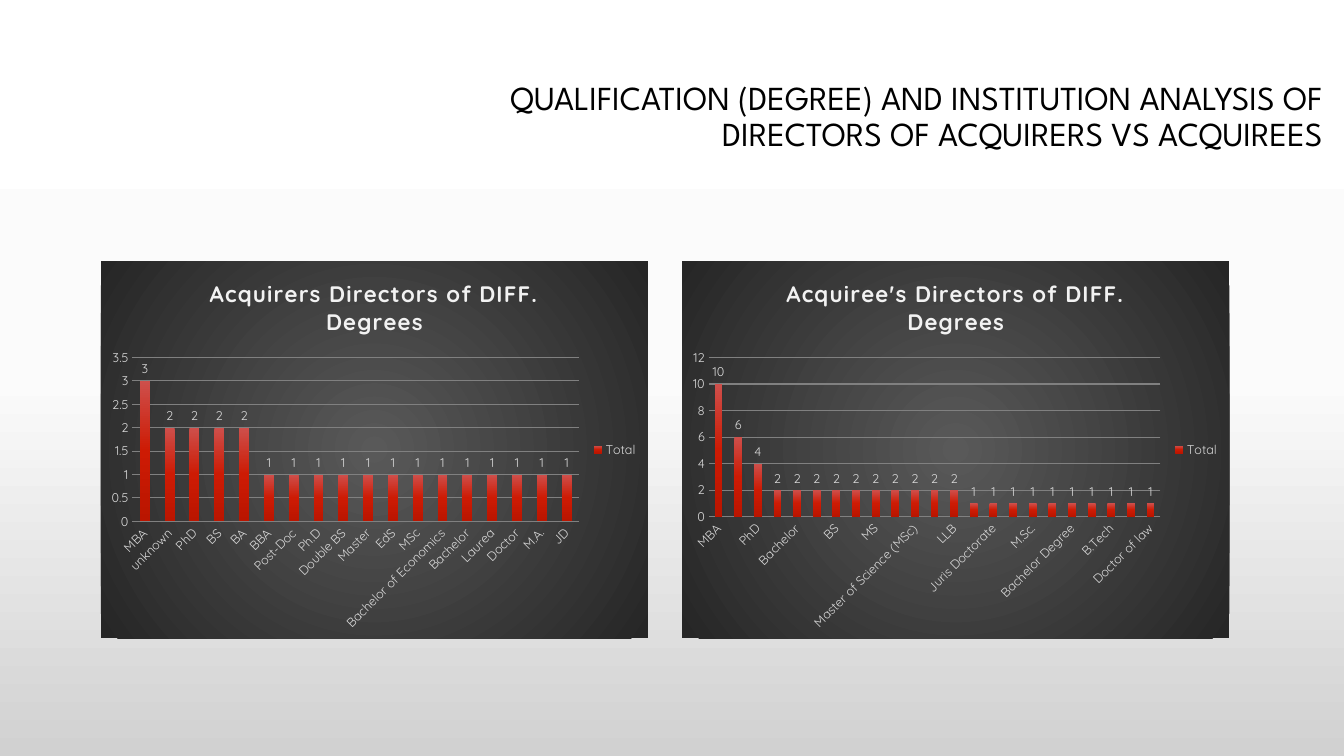
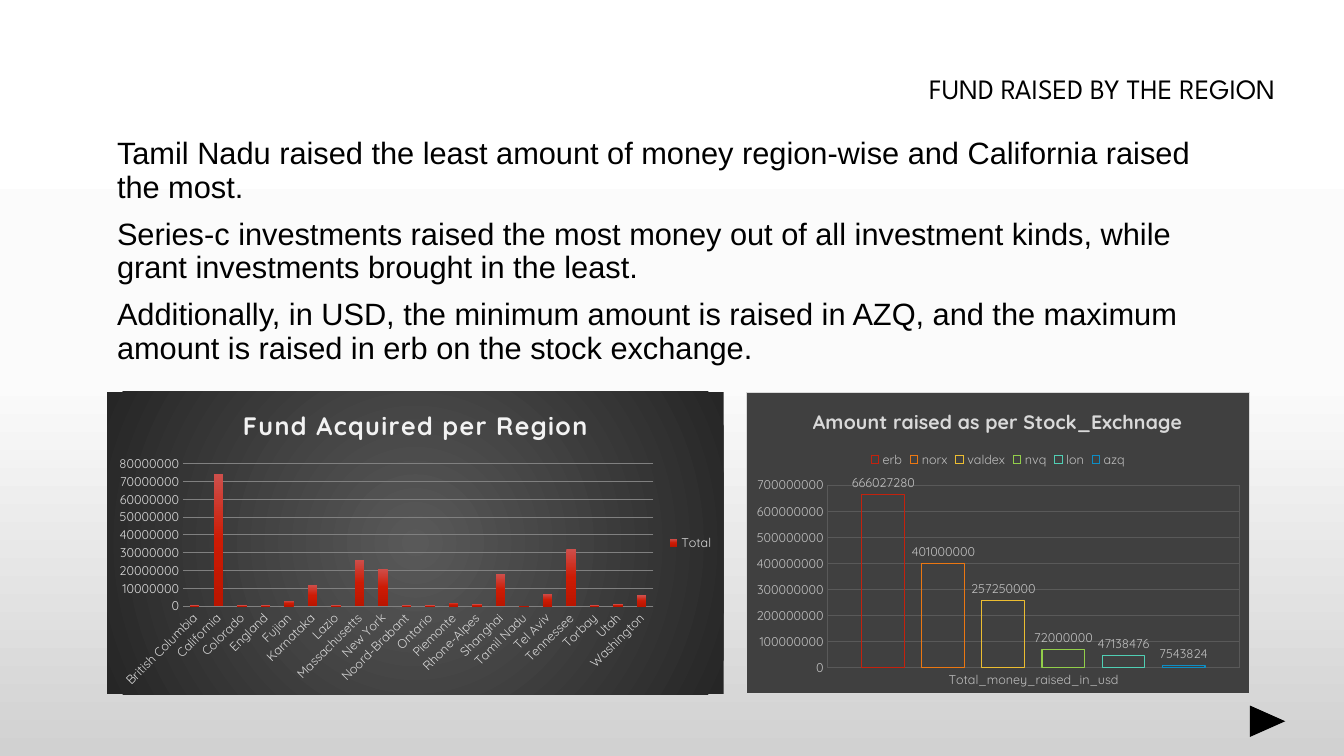
from dataclasses import dataclass

from pptx import Presentation
from pptx.chart.data import CategoryChartData
from pptx.dml.color import RGBColor
from pptx.enum.chart import XL_CHART_TYPE, XL_LABEL_POSITION, XL_LEGEND_POSITION, XL_TICK_MARK
from pptx.enum.shapes import MSO_SHAPE
from pptx.enum.text import MSO_ANCHOR, PP_ALIGN
from pptx.oxml import parse_xml
from pptx.oxml.ns import nsdecls, qn
from pptx.util import Cm, Pt

BLACK = RGBColor(0x00, 0x00, 0x00)
CHARCOAL = RGBColor(0x40, 0x40, 0x40)
DARK_GRID = RGBColor(0x59, 0x59, 0x59)
GRID = RGBColor(0x80, 0x80, 0x80)
SILVER = RGBColor(0xBF, 0xBF, 0xBF)
LIGHT = RGBColor(0xD9, 0xD9, 0xD9)
PALE = RGBColor(0xF2, 0xF2, 0xF2)

PAGE_STOPS = [(0, "FFFFFF"), (50, "FBFBFB"), (100, "D1D1D1")]
BAR_STOPS = [(0, "CE4F4B"), (50, "CD1B04"), (100, "BA1500")]
PANEL_STOPS = [(0, "595959"), (100, "262626")]

TITLE_FONT = "League Spartan"
BODY_FONT = "Arial"
CHART_FONT = "Quicksand"

ACQUIRER_DEGREES = [
    ("MBA", 3), ("unknown", 2), ("PhD", 2), ("BS", 2), ("BA", 2), ("BBA", 1),
    ("Post-Doc", 1), ("Ph.D", 1), ("Double BS", 1), ("Master", 1), ("EdS", 1),
    ("MSc", 1), ("Bachelor of Economics", 1), ("Bachelor", 1), ("Laurea", 1),
    ("Doctor", 1), ("M.A.", 1), ("JD", 1),
]
ACQUIREE_DEGREES = [
    ("MBA", 10), ("unknown", 6), ("PhD", 4), ("Bachelor of Economics", 2),
    ("Bachelor", 2), ("Master's degree", 2), ("BS", 2), ("BE", 2), ("MS", 2),
    ("PhD.", 2), ("Master of Science (MSc)", 2), ("Laurea", 2), ("LLB", 2),
    ("BBA", 1), ("Juris Doctorate", 1), ("M.A", 1), ("M.Sc.", 1), ("MSc", 1),
    ("Bachelor Degree", 1), ("B.A. Economics", 1), ("B.Tech", 1), ("M.A.", 1),
    ("Doctor of law", 1),
]
REGION_FUNDS = [
    ("British Columbia", 400000), ("California", 74000000), ("Colorado", 400000),
    ("England", 400000), ("Fujian", 3000000), ("Karnataka", 12000000),
    ("Lazio", 400000), ("Massachusetts", 26000000), ("New York", 21000000),
    ("Noord-Brabant", 400000), ("Ontario", 400000), ("Piemonte", 2000000),
    ("Rhone-Alpes", 1000000), ("Shanghai", 18000000), ("Tamil Nadu", 300000),
    ("Tel Aviv", 7000000), ("Tennessee", 32000000), ("Torbay", 400000),
    ("Utah", 1000000), ("Washington", 6000000),
]
EXCHANGE_FUNDS = [
    ("erb", 666027280, RGBColor(0xC4, 0x22, 0x0D)),
    ("norx", 401000000, RGBColor(0xEB, 0x77, 0x12)),
    ("valdex", 257250000, RGBColor(0xEC, 0xBD, 0x31)),
    ("nvq", 72000000, RGBColor(0x92, 0xCE, 0x4A)),
    ("lon", 47138476, RGBColor(0x50, 0xCF, 0xB4)),
    ("azq", 7543824, RGBColor(0x0D, 0x8E, 0xC5)),
]
FUND_NOTES = [
    "Tamil Nadu raised the least amount of money region-wise and California raised the most.",
    "Series-c investments raised the most money out of all investment kinds, while grant "
    "investments brought in the least.",
    "Additionally, in USD, the minimum amount is raised in AZQ, and the maximum amount is "
    "raised in erb on the stock exchange.",
]


@dataclass
class Box:
    left: float
    top: float
    width: float
    height: float

    def lengths(self):
        return [Cm(value) for value in (self.left, self.top, self.width, self.height)]


# Shared formatting
def set_values(target, values):
    for name, value in values.items():
        setattr(target, name, value)


def style_font(font, color, name, size, bold=False):
    set_values(font, {"name": name, "size": Pt(size), "bold": bold})
    font.color.rgb = color


def style_line(line, color):
    line.color.rgb = color
    line.width = Pt(0.75)


def swap_gradient(element, stops, direction='<a:lin ang="5400000" scaled="0"/>'):
    """Turn the first solid fill inside the element into a gradient."""
    marks = "".join(
        f'<a:gs pos="{position * 1000}"><a:srgbClr val="{color}"/></a:gs>'
        for position, color in stops
    )
    gradient = parse_xml(
        f'<a:gradFill {nsdecls("a")} rotWithShape="1"><a:gsLst>{marks}</a:gsLst>'
        f"{direction}</a:gradFill>"
    )
    solid = next(element.iter(qn("a:solidFill")))
    solid.getparent().replace(solid, gradient)


# Text regions
def add_text(page, box, paragraphs, font_values, para_values, anchor=MSO_ANCHOR.TOP):
    frame = page.shapes.add_textbox(*box.lengths()).text_frame
    set_values(frame, {"word_wrap": True, "vertical_anchor": anchor})
    for index, text in enumerate(paragraphs):
        para = frame.add_paragraph() if index else frame.paragraphs[0]
        set_values(para, {"line_spacing": 0.9, **para_values})
        span = para.add_run()
        span.text = text
        style_font(span.font, **font_values)


def add_title(page, box, text, size):
    font_values = {"color": BLACK, "name": TITLE_FONT, "size": size}
    add_text(page, box, [text], font_values, {"alignment": PP_ALIGN.RIGHT}, MSO_ANCHOR.MIDDLE)


# Chart regions
def add_column_chart(page, box, title, title_size, categories, series, text_color, grid_color,
                     legend_position):
    data = CategoryChartData()
    data.categories = categories
    for name, values in series:
        data.add_series(name, values)
    frame = page.shapes.add_chart(XL_CHART_TYPE.COLUMN_CLUSTERED, *box.lengths(), data)
    chart = frame.chart
    label_style = {"color": text_color, "name": CHART_FONT, "size": 9}
    style_font(chart.font, BLACK, CHART_FONT, 10)

    chart.has_title = True
    span = chart.chart_title.text_frame.paragraphs[0].add_run()
    span.text = title
    style_font(span.font, PALE, CHART_FONT, title_size, True)

    chart.has_legend = True
    set_values(chart.legend, {"position": legend_position, "include_in_layout": False})
    style_font(chart.legend.font, **label_style)

    for axis in (chart.category_axis, chart.value_axis):
        set_values(axis, {"major_tick_mark": XL_TICK_MARK.NONE,
                          "minor_tick_mark": XL_TICK_MARK.NONE})
        axis.format.line.fill.background()
        style_font(axis.tick_labels.font, **label_style)
    style_line(chart.value_axis.major_gridlines.format.line, grid_color)
    chart.plots[0].vary_by_categories = False
    return chart


def add_value_labels(chart, color):
    plot = chart.plots[0]
    plot.has_data_labels = True
    set_values(plot.data_labels, {"show_value": True,
                                  "position": XL_LABEL_POSITION.OUTSIDE_END})
    style_font(plot.data_labels.font, color, CHART_FONT, 9)


def fill_chart_area(chart, border=""):
    area = parse_xml(
        f'<c:spPr {nsdecls("c", "a")}><a:solidFill><a:srgbClr val="{CHARCOAL}"/></a:solidFill>'
        f'<a:ln w="9525">{border or "<a:noFill/>"}</a:ln></c:spPr>'
    )
    chart._chartSpace.find(qn("c:chart")).addnext(area)
    return area


def add_total_chart(page, box, title, title_size, totals, labelled):
    names, values = zip(*totals)
    chart = add_column_chart(page, box, title, title_size, names, [("Total", values)],
                             LIGHT, GRID, XL_LEGEND_POSITION.RIGHT)
    chart.plots[0].gap_width = 150
    bars = chart.plots[0].series[0]
    bars.format.fill.solid()
    swap_gradient(bars._element, BAR_STOPS)
    swap_gradient(
        fill_chart_area(chart), PANEL_STOPS,
        '<a:path path="circle"><a:fillToRect l="50000" t="50000" r="50000" b="50000"/></a:path>',
    )
    # Slanted category names and spaced title letters
    text_body = chart.category_axis._element.find(qn("c:txPr")).find(qn("a:bodyPr"))
    text_body.set("rot", "-2700000")
    span = chart.chart_title.text_frame.paragraphs[0].runs[0]
    span._r.get_or_add_rPr().set("spc", "100")
    if labelled:
        add_value_labels(chart, LIGHT)


def add_exchange_chart(page, box):
    series = [(name, [value]) for name, value, _ in EXCHANGE_FUNDS]
    chart = add_column_chart(page, box, "Amount raised as per Stock_Exchnage", 14,
                             ["Total_money_raised_in_usd"], series, SILVER, DARK_GRID,
                             XL_LEGEND_POSITION.TOP)
    chart.chart_title.text_frame.paragraphs[0].runs[0].font.color.rgb = LIGHT
    # Columns stand far enough apart for their value labels
    set_values(chart.plots[0], {"gap_width": 160, "overlap": -40})
    chart.category_axis.has_major_gridlines = True
    style_line(chart.category_axis.major_gridlines.format.line, DARK_GRID)
    for bar, (_, _, color) in zip(chart.plots[0].series, EXCHANGE_FUNDS):
        bar.format.fill.background()
        style_line(bar.format.line, color)
    add_value_labels(chart, SILVER)
    fill_chart_area(chart, f'<a:solidFill><a:srgbClr val="{LIGHT}"/></a:solidFill>')


def add_next_arrow(page, box):
    arrow = page.shapes.add_shape(MSO_SHAPE.ISOSCELES_TRIANGLE, *box.lengths())
    arrow.rotation = 90
    arrow.shadow.inherit = False
    arrow.fill.solid()
    arrow.fill.fore_color.rgb = BLACK
    arrow.line.fill.background()


# Slides
def build_degree_page(page):
    add_title(page, Box(9.65, 1.17, 23.93, 3.58),
              "QUALIFICATION (DEGREE) AND INSTITUTION ANALYSIS OF DIRECTORS OF ACQUIRERS "
              "VS ACQUIREES", 24)
    panels = [("Acquirers Directors of DIFF. Degrees", ACQUIRER_DEGREES),
              ("Acquiree's Directors of DIFF. Degrees", ACQUIREE_DEGREES)]
    for index, (title, totals) in enumerate(panels):
        box = Box(2.54 + index * 14.65, 6.58, 13.79, 9.5)
        add_total_chart(page, box, title, 16, totals, labelled=True)


def build_fund_page(page):
    add_title(page, Box(8.46, 0.48, 23.93, 3.58), "FUND RAISED BY THE REGION", 20)
    add_text(page, Box(2.7, 3.36, 28.78, 9.5), FUND_NOTES,
             {"color": BLACK, "name": BODY_FONT, "size": 22}, {"space_before": Pt(10)})
    add_next_arrow(page, Box(31.55, 17.73, 0.79, 0.89))
    add_total_chart(page, Box(2.7, 9.87, 15.54, 7.62), "Fund Acquired per Region", 18,
                    REGION_FUNDS, labelled=False)
    add_exchange_chart(page, Box(18.8, 9.87, 12.7, 7.62))


def main():
    deck = Presentation()
    set_values(deck, {"slide_width": Cm(33.87), "slide_height": Cm(19.05)})
    deck.slide_master.background.fill.solid()
    swap_gradient(deck.slide_master._element, PAGE_STOPS)
    for build_page in (build_degree_page, build_fund_page):
        build_page(deck.slides.add_slide(deck.slide_layouts[6]))
    deck.save("out.pptx")


if __name__ == "__main__":
    main()
